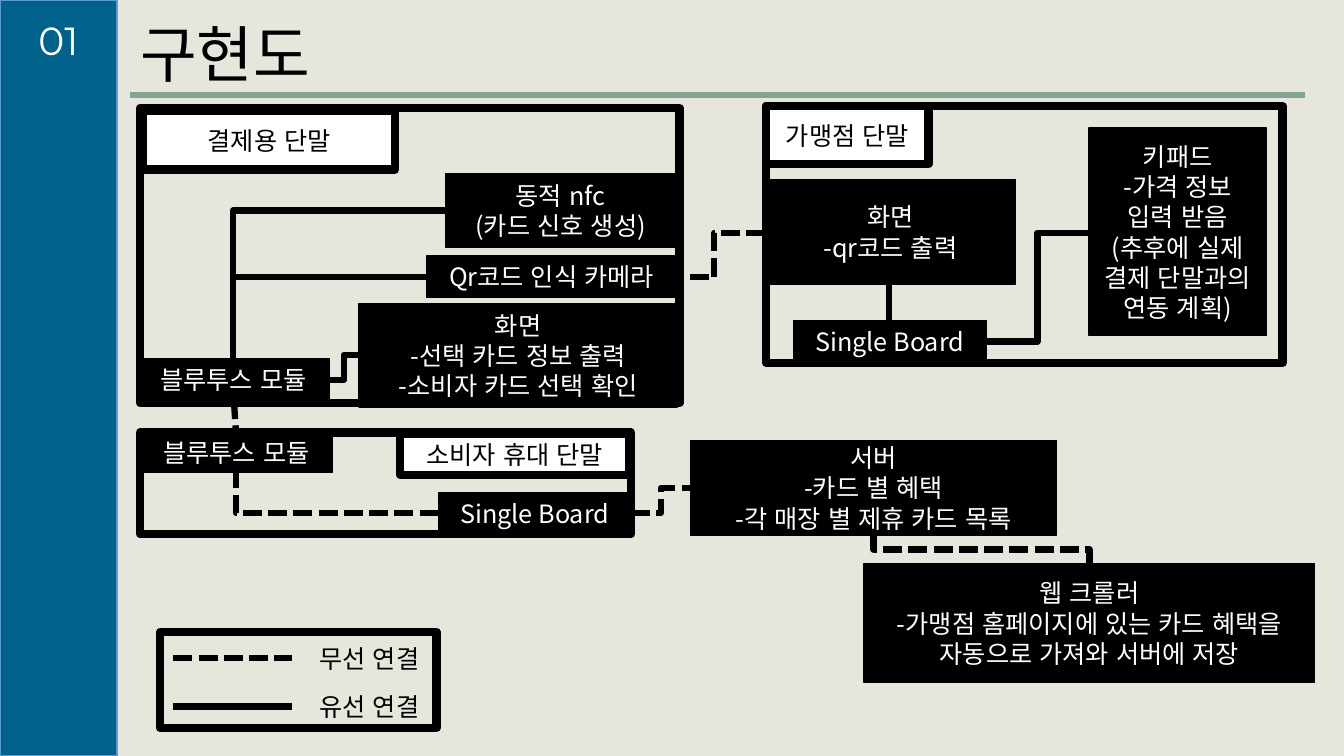
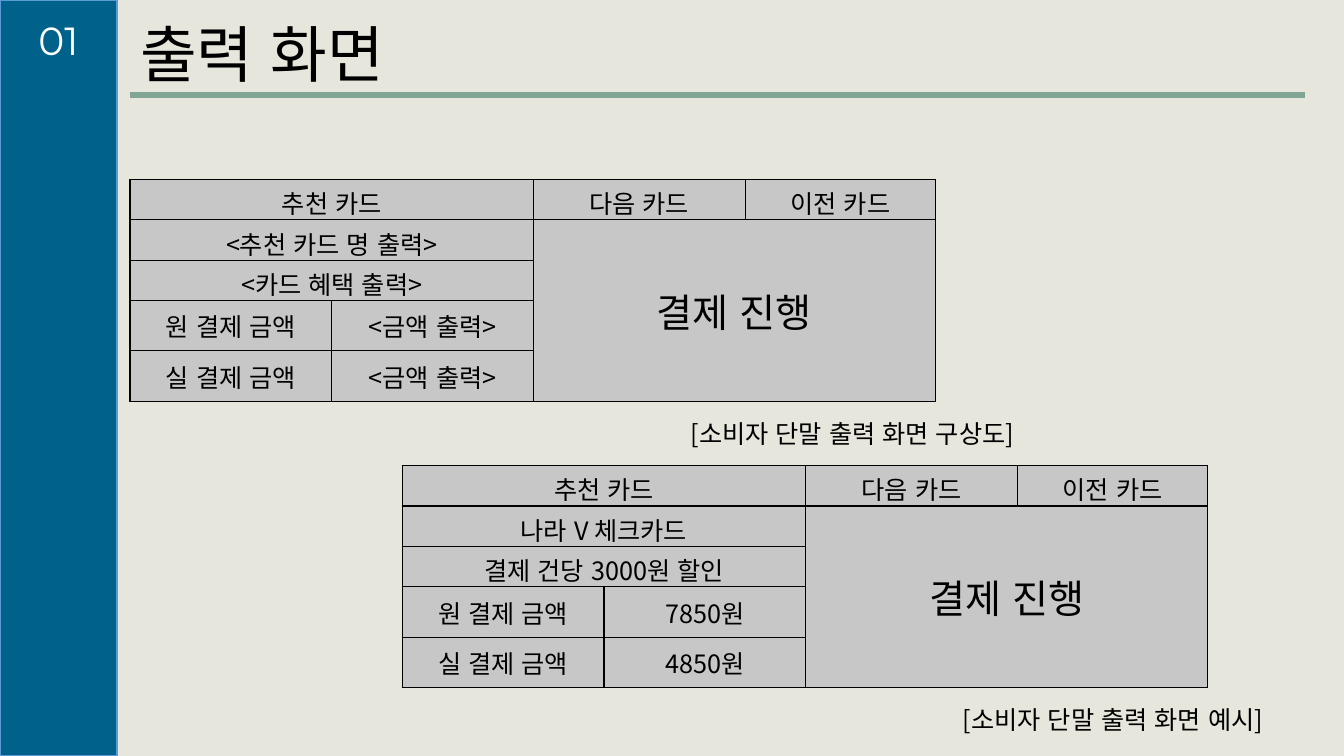
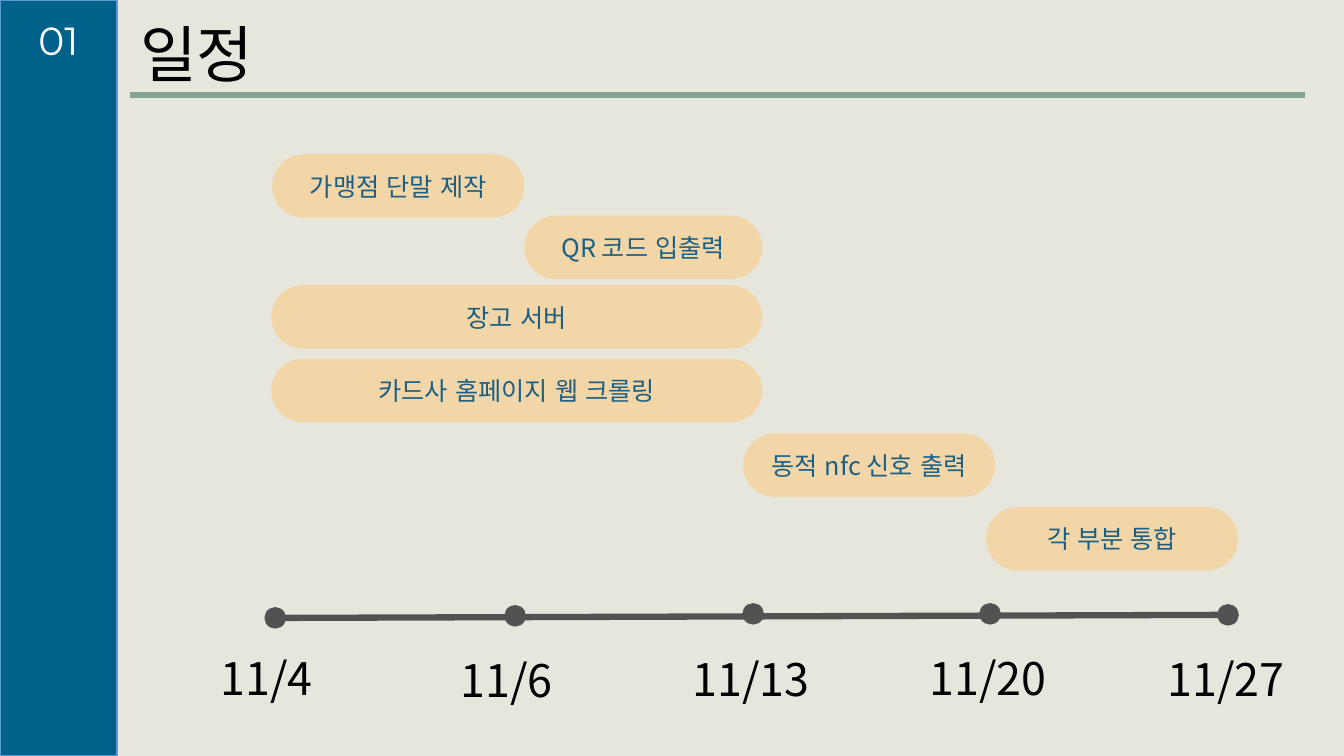
from itertools import product
from lxml.etree import SubElement as Sub
from pptx import Presentation
from pptx.dml.color import RGBColor
from pptx.enum.dml import MSO_LINE as Dash
from pptx.enum.lang import MSO_LANGUAGE_ID as Lang
from pptx.enum.shapes import MSO_CONNECTOR as Conn, MSO_SHAPE as Kind
from pptx.enum.text import MSO_ANCHOR as Anchor, PP_ALIGN as Align
from pptx.oxml.ns import qn
from pptx.util import Pt

PX = 9144  # 100 px to the inch
FONT = "Noto Sans CJK KR"
BLACK, WHITE, PAPER = "000000", "FFFFFF", "E6E6DC"
BLUE, EDGE, GREEN = "00628B", "5B9BD5", "81A594"
SAND, NAVY, GRAY, CELL = "F3D6A8", "1C5F83", "525252", "C7C7C7"
rgb = RGBColor.from_string


def write(frame, text, size=18, color=BLACK, font=FONT, align=Align.CENTER):
    frame.word_wrap = True
    frame.text = text
    for para in frame.paragraphs:
        para.alignment = align
        for run in para.runs:
            look = {"size": Pt(size), "name": font, "language_id": Lang.KOREAN}
            for key, val in look.items():
                setattr(run.font, key, val)
            run.font.color.rgb = rgb(color)
            Sub(run._r.get_or_add_rPr(), qn("a:ea")).set("typeface", font)


def put(slide, kind, box, text="", fill=None, edge=None, width=1, **look):
    area = [n * PX for n in box]
    if kind is None:
        shape = slide.shapes.add_textbox(*area)
    else:
        shape = slide.shapes.add_shape(kind, *area)
        shape.shadow.inherit = False
        shape.text_frame.vertical_anchor = Anchor.MIDDLE
        for part, color in ((shape.fill, fill), (shape.line.fill, edge)):
            if color:
                part.solid()
                part.fore_color.rgb = rgb(color)
            else:
                part.background()
        if edge:
            shape.line.width = Pt(width)
    if text:
        write(shape.text_frame, text, **look)
    return shape


# Shared look: paper, side band, number, title
deck = Presentation()
deck.slide_width, deck.slide_height = 1333 * PX, 750 * PX
back = deck.slide_master.background.fill
back.solid()
back.fore_color.rgb = rgb(PAPER)

slides = []
for name in ("구현도", "출력 화면", "일정"):
    slide = deck.slides.add_slide(deck.slide_layouts[5])
    put(slide, Kind.RECTANGLE, (0, 0, 116, 750), fill=BLUE, edge=EDGE)
    put(slide, None, (13, 11, 90, 57), "01", size=28, color=WHITE, font="Montserrat")
    title = slide.shapes.title
    spot = {"left": 129, "top": 11, "width": 451, "height": 84}
    for key, val in spot.items():
        setattr(title, key, val * PX)
    write(title.text_frame, name, size=44, align=Align.LEFT)
    title.text_frame.vertical_anchor = Anchor.TOP
    slides.append(slide)
plan, screen, dates = slides

# Lines: slide, preset, ends, colour, dotted, turn in degrees
ONE, TWO, THREE = "line", "bentConnector2", "bentConnector3"
lines = [(s, ONE, (129, 94, 1294, 94), GREEN, False, 0) for s in slides]
lines.append((dates, ONE, (282, 613, 1208, 610), GRAY, False, 0))
wired = [
    (ONE, (882, 318, 882, 283)),
    (THREE, (978, 339, 1080, 231)),
    (TWO, (442, 209, 231, 356)),
    (TWO, (423, 275, 231, 356)),
    (THREE, (356, 352, 326, 377)),
    (ONE, (172, 701, 290, 701)),
]
radio = [
    (THREE, (626, 509, 685, 484), 0),
    (THREE, (759, 231, 658, 275), 0),
    (ONE, (232, 397, 234, 428), 0),
    (TWO, (435, 509, 234, 469), 0),
    (THREE, (959, 652, 988, 438), 270),
    (ONE, (172, 653, 290, 653), 0),
]
lines += [(plan, form, ends, BLACK, False, 0) for form, ends in wired]
lines += [(plan, form, ends, BLACK, True, turn) for form, ends, turn in radio]
for slide, form, ends, color, dotted, turn in lines:
    kind = Conn.STRAIGHT if form == ONE else Conn.ELBOW
    link = slide.shapes.add_connector(kind, *[n * PX for n in ends])
    link.line.width = Pt(4.5)
    link.line.color.rgb = rgb(color)
    if dotted:
        link.line.dash_style = Dash.SQUARE_DOT
    props = link._element.spPr
    props.find(qn("a:prstGeom")).set("prst", form)
    if turn:
        props.find(qn("a:xfrm")).set("rot", str(turn * 60000))
    Sub(props, qn("a:effectLst"))

# Slide 1: device frames, parts, then labels
frames = [
    (139, 107, 535, 293), (760, 105, 512, 255),
    (139, 429, 487, 101), (159, 627, 274, 95),
]
for box in frames:
    put(plan, Kind.RECTANGLE, box, edge=BLACK, width=6)

parts = [
    ((442, 172, 228, 73), "동적 nfc\n(카드 신호 생성)"),
    ((423, 254, 248, 41), "Qr코드 인식 카메라"),
    ((356, 301, 316, 103), "화면\n-선택 카드 정보 출력\n-소비자 카드 선택 확인"),
    ((136, 356, 191, 41), "블루투스 모듈"),
    ((139, 428, 191, 41), "블루투스 모듈"),
    ((435, 489, 191, 41), "Single Board"),
    ((759, 178, 248, 104), "화면\n-qr코드 출력"),
    ((787, 318, 191, 41), "Single Board"),
    ((1080, 127, 176, 206),
     "키패드\n-가격 정보 입력 받음\n(추후에 실제 결제 단말과의 연동 계획)"),
    ((685, 437, 363, 94), "서버\n-카드 별 혜택\n-각 매장 별 제휴 카드 목록"),
    ((857, 559, 447, 118),
     "웹 크롤러\n-가맹점 홈페이지에 있는 카드 혜택을 자동으로 가져와 서버에 저장"),
]
for box, text in parts:
    put(plan, Kind.RECTANGLE, box, text, BLACK, BLACK, color=WHITE)

labels = [
    ((142, 110, 250, 58), "결제용 단말"),
    ((760, 105, 161, 58), "가맹점 단말"),
    ((397, 430, 227, 41), "소비자 휴대 단말"),
]
for box, text in labels:
    put(plan, Kind.RECTANGLE, box, text, WHITE, BLACK, 6)
for top, text in ((633, "무선 연결"), (681, "유선 연결")):
    put(plan, None, (307, top, 135, 40), text, align=Align.LEFT)

# Slide 2: two screens with the same grid
cols, rows = (200, 200, 210, 189), (40, 40, 40, 50, 50)
spans = ((0, 0, 0, 1), (1, 0, 1, 1), (2, 0, 2, 1), (1, 2, 4, 3))
screens = [
    (129, 178, "<추천 카드 명 출력>", "<카드 혜택 출력>", "<금액 출력>", "<금액 출력>",
     (675, 410), "[소비자 단말 출력 화면 구상도]"),
    (399, 462, "나라 V 체크카드", "결제 건당 3000원 할인", "7850원", "4850원",
     (945, 694), "[소비자 단말 출력 화면 예시]"),
]
for left, top, card, gain, full, net, spot, note in screens:
    area = [n * PX for n in (left, top, sum(cols), sum(rows))]
    grid = screen.shapes.add_table(len(rows), len(cols), *area).table
    grid.first_row = grid.horz_banding = False
    for col, size in zip(grid.columns, cols):
        col.width = size * PX
    for row, size in zip(grid.rows, rows):
        row.height = size * PX
    for r, c in product(range(len(rows)), range(len(cols))):
        cell = grid.cell(r, c)
        props = cell._tc.get_or_add_tcPr()
        for side in ("lnL", "lnR", "lnT", "lnB"):
            rim = Sub(props, qn("a:" + side), w=str(Pt(1)))
            Sub(Sub(rim, qn("a:solidFill")), qn("a:srgbClr"), val=BLACK)
        cell.fill.solid()
        cell.fill.fore_color.rgb = rgb(CELL)
        cell.vertical_anchor = Anchor.MIDDLE
    for r, c, down, right in spans:
        grid.cell(r, c).merge(grid.cell(down, right))
    texts = {
        (0, 0): "추천 카드", (0, 2): "다음 카드", (0, 3): "이전 카드",
        (1, 0): card, (1, 2): "결제 진행", (2, 0): gain,
        (3, 0): "원 결제 금액", (3, 1): full,
        (4, 0): "실 결제 금액", (4, 1): net,
    }
    for place, text in texts.items():
        write(grid.cell(*place).text_frame, text, size=28 if place == (1, 2) else 18)
    put(screen, None, (*spot, 378, 40), note, align=Align.LEFT)

# Slide 3: tasks above the time line
tasks = [
    (270, 153, 250, "가맹점 단말 제작"),
    (520, 214, 236, "QR 코드 입출력"),
    (269, 283, 487, "장고 서버"),
    (269, 356, 487, "카드사 홈페이지 웹 크롤링"),
    (737, 430, 250, "동적 nfc 신호 출력"),
    (978, 503, 250, "각 부분 통합"),
]
for left, top, wide, text in tasks:
    pill = put(dates, Kind.ROUNDED_RECTANGLE, (left, top, wide, 63), text, SAND, color=NAVY)
    pill.adjustments[0] = 0.5

days = [
    (263, 603, 209, 641, "11/4"), (501, 601, 447, 643, "11/6"),
    (737, 599, 677, 642, "11/13"), (972, 599, 912, 641, "11/20"),
    (1208, 600, 1148, 642, "11/27"),
]
for left, top, start, base, day in days:
    put(dates, Kind.OVAL, (left, top, 20, 20), fill=GRAY, edge=GRAY)
    put(dates, None, (start, base, 139, 64), day, size=32, align=Align.LEFT)

deck.save("out.pptx")
